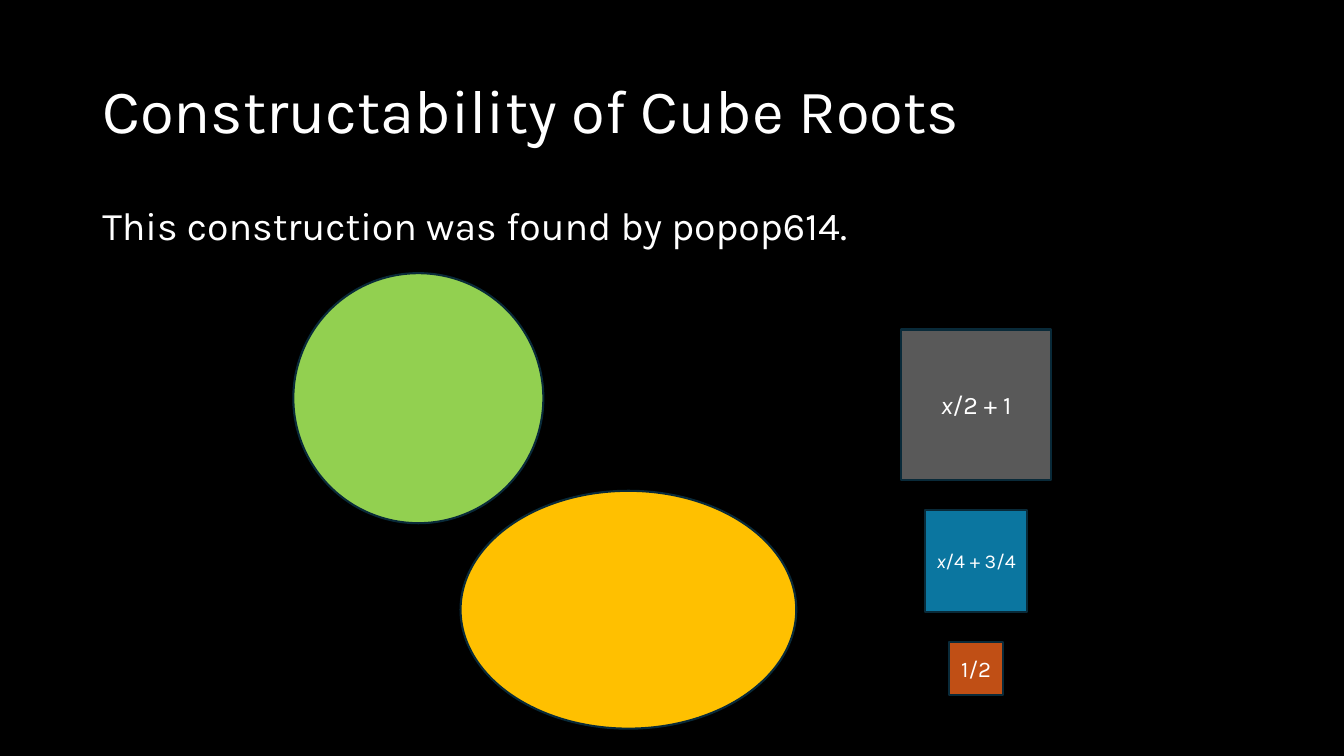
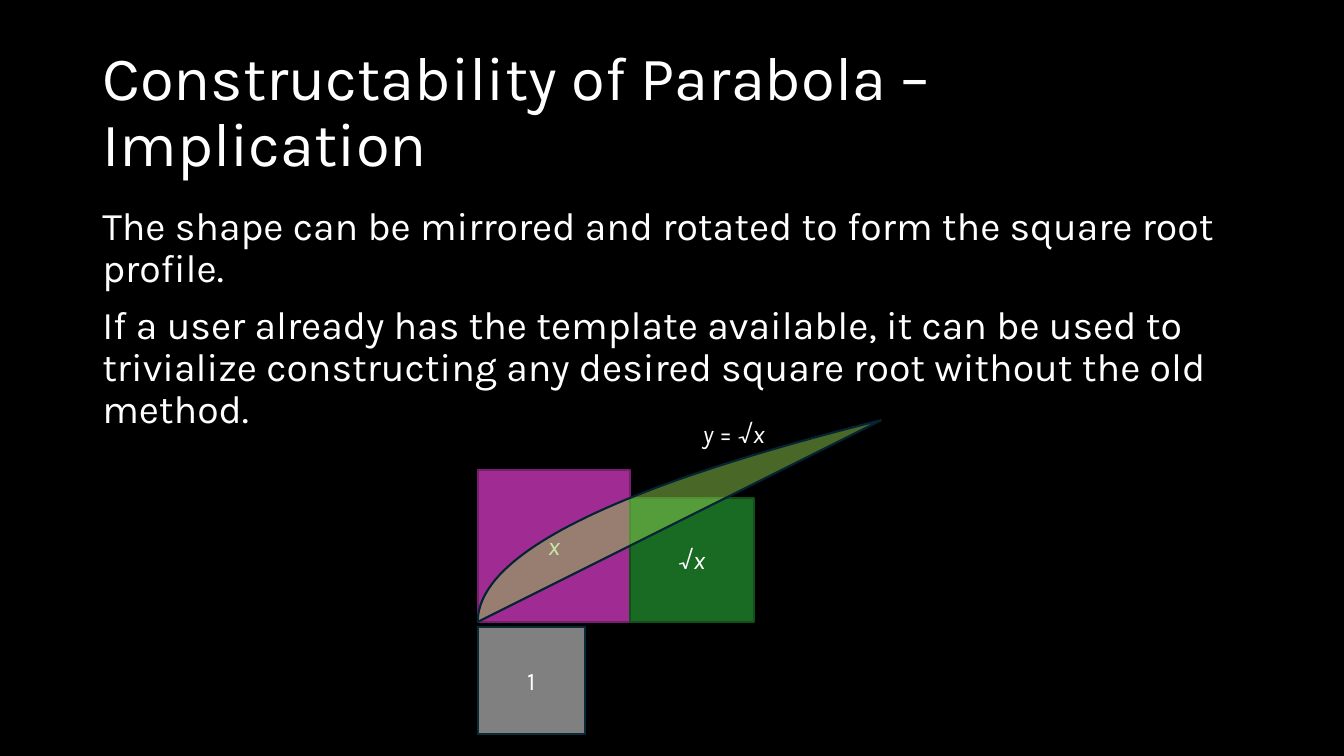
import dataclasses
import itertools

import pptx
import pptx.dml.color
import pptx.enum.shapes
import pptx.enum.text
import pptx.util
from lxml import etree
from pptx.oxml.ns import qn

Pt = pptx.util.Pt
Shape = pptx.enum.shapes.MSO_SHAPE
Align = pptx.enum.text.PP_ALIGN
Anchor = pptx.enum.text.MSO_ANCHOR
AutoSize = pptx.enum.text.MSO_AUTO_SIZE


@dataclasses.dataclass(frozen=True)
class Theme:
    font: str = "Karla"
    background: str = "000000"
    text: str = "FFFFFF"
    outline: str = "092A39"
    curve_outline: str = "042433"
    lime: str = "92D050"
    amber: str = "FFC000"
    charcoal: str = "595959"
    grey: str = "808080"
    blue: str = "0B76A0"
    rust: str = "C04F15"
    purple: str = "A02B93"
    purple_outline: str = "76206D"
    green: str = "196B24"
    green_outline: str = "124F1B"
    title_size: float = 44
    body_size: float = 28
    label_size: float = 18
    small_size: float = 16
    tiny_size: float = 14
    line_width: float = 1.5


def rgb(value):
    return pptx.dml.color.RGBColor.from_string(value)


class Deck:
    """Holds the style and the slide being drawn."""

    def __init__(self, theme):
        self.theme = theme
        self.presentation = pptx.Presentation()
        self.presentation.slide_width = Pt(960)
        self.presentation.slide_height = Pt(540)
        fill = self.presentation.slide_master.background.fill
        fill.solid()
        fill.fore_color.rgb = rgb(theme.background)
        self.slide = None

    def add_slide(self, title):
        layout = self.presentation.slide_layouts.get_by_name("Title Only")
        self.slide = self.presentation.slides.add_slide(layout)
        shape = self.slide.shapes.title
        shape.left, shape.top, shape.width, shape.height = map(Pt, (66, 28.8, 828, 104.4))
        frame = shape.text_frame
        frame.text = title
        frame.auto_size = AutoSize.NONE
        frame.vertical_anchor = Anchor.MIDDLE
        frame.paragraphs[0].line_spacing = 0.9
        self.format(frame.paragraphs[0], self.theme.title_size, Align.LEFT)

    def format(self, paragraph, size, alignment):
        paragraph.alignment = alignment
        paragraph.font.name = self.theme.font
        paragraph.font.size = Pt(size)
        paragraph.font.color.rgb = rgb(self.theme.text)

    def write_formula(self, frame, formula, size, alignment):
        """Write a formula with its variables x and y in italics."""
        paragraph = frame.paragraphs[0]
        self.format(paragraph, size, alignment)
        for variable, letters in itertools.groupby(formula, lambda letter: letter in "xy"):
            run = paragraph.add_run()
            run.text = "".join(letters)
            if variable:
                run.font.italic = True

    def paint(self, shape, fill, outline):
        shape.shadow.inherit = False
        shape.fill.solid()
        shape.fill.fore_color.rgb = rgb(fill)
        shape.line.color.rgb = rgb(outline)
        shape.line.width = Pt(self.theme.line_width)

    def body(self, *texts):
        box = self.slide.shapes.add_textbox(Pt(66), Pt(144), Pt(828), Pt(342.7))
        frame = box.text_frame
        frame.word_wrap = True
        for index, text in enumerate(texts):
            paragraph = frame.add_paragraph() if index else frame.paragraphs[0]
            paragraph.text = text
            paragraph.line_spacing = 0.9
            if index:
                paragraph.space_before = Pt(10)
            self.format(paragraph, self.theme.body_size, Align.LEFT)

    def ellipse(self, left, top, width, height, fill):
        shape = self.slide.shapes.add_shape(
            Shape.OVAL, Pt(left), Pt(top), Pt(width), Pt(height))
        self.paint(shape, fill, self.theme.outline)

    def square(self, left, top, side, formula, fill, outline=None, size=None):
        shape = self.slide.shapes.add_shape(
            Shape.RECTANGLE, Pt(left), Pt(top), Pt(side), Pt(side))
        self.paint(shape, fill, outline or self.theme.outline)
        shape.text_frame.vertical_anchor = Anchor.MIDDLE
        self.write_formula(
            shape.text_frame, formula, size or self.theme.label_size, Align.CENTER)

    def label(self, left, top, width, height, formula):
        box = self.slide.shapes.add_textbox(Pt(left), Pt(top), Pt(width), Pt(height))
        box.text_frame.word_wrap = False
        box.text_frame.auto_size = AutoSize.SHAPE_TO_FIT_TEXT
        self.write_formula(box.text_frame, formula, self.theme.label_size, Align.LEFT)

    def outline_shape(self, points, fill, outline, opacity):
        start, *others = [(Pt(x), Pt(y)) for x, y in points]
        builder = self.slide.shapes.build_freeform(*start)
        builder.add_line_segments(others, close=True)
        shape = builder.convert_to_shape()
        self.paint(shape, fill, outline)
        color = shape.fill._xPr.find(qn("a:solidFill"))[0]
        etree.SubElement(color, qn("a:alpha")).set("val", str(opacity * 1000))


def cube_root_slide(deck):
    theme = deck.theme
    deck.add_slide("Constructability of Cube Roots")
    deck.body("This construction was found by popop614.")
    deck.ellipse(209.5, 195.1, 178.6, 178.6, theme.lime)
    deck.ellipse(329, 350.6, 239.8, 169.9, theme.amber)

    # Column of squares on one centre line
    center, top, gap = 697.3, 235.4, 21.6
    for side, formula, fill, size in (
        (107.3, "x/2 + 1", theme.charcoal, theme.label_size),
        (72.7, "x/4 + 3/4", theme.blue, theme.tiny_size),
        (38.2, "1/2", theme.rust, theme.small_size),
    ):
        deck.square(center - side / 2, top, side, formula, fill, size=size)
        top += side + gap


def parabola_slide(deck):
    theme = deck.theme
    deck.add_slide("Constructability of Parabola – Implication")
    deck.body(
        "The shape can be mirrored and rotated to form the square root profile.",
        "If a user already has the template available, it can be used to trivialize "
        "constructing any desired square root without the old method.",
    )

    # Squares around the origin of the curve
    left, base = 341.3, 444.2
    x_side, root_side, unit_side = 108.7, 88.6, 76.3
    deck.square(left, base - x_side, x_side, "x", theme.purple, theme.purple_outline)
    deck.square(left + x_side, base - root_side, root_side, "√x",
                theme.green, theme.green_outline)
    deck.square(left, base + 3.6, unit_side, "1", theme.grey)

    # Square root curve, closed by its chord
    width, height, steps = 288, 144, 48
    curve = [(left + width * (step / steps) ** 2, base - height * step / steps)
             for step in range(steps + 1)]
    deck.outline_shape(curve, theme.lime, theme.curve_outline, opacity=50)
    deck.label(494.6, 295.2, 60.5, 28.8, "y = √x")


def main():
    deck = Deck(Theme())
    cube_root_slide(deck)
    parabola_slide(deck)
    deck.presentation.save("out.pptx")


if __name__ == "__main__":
    main()
